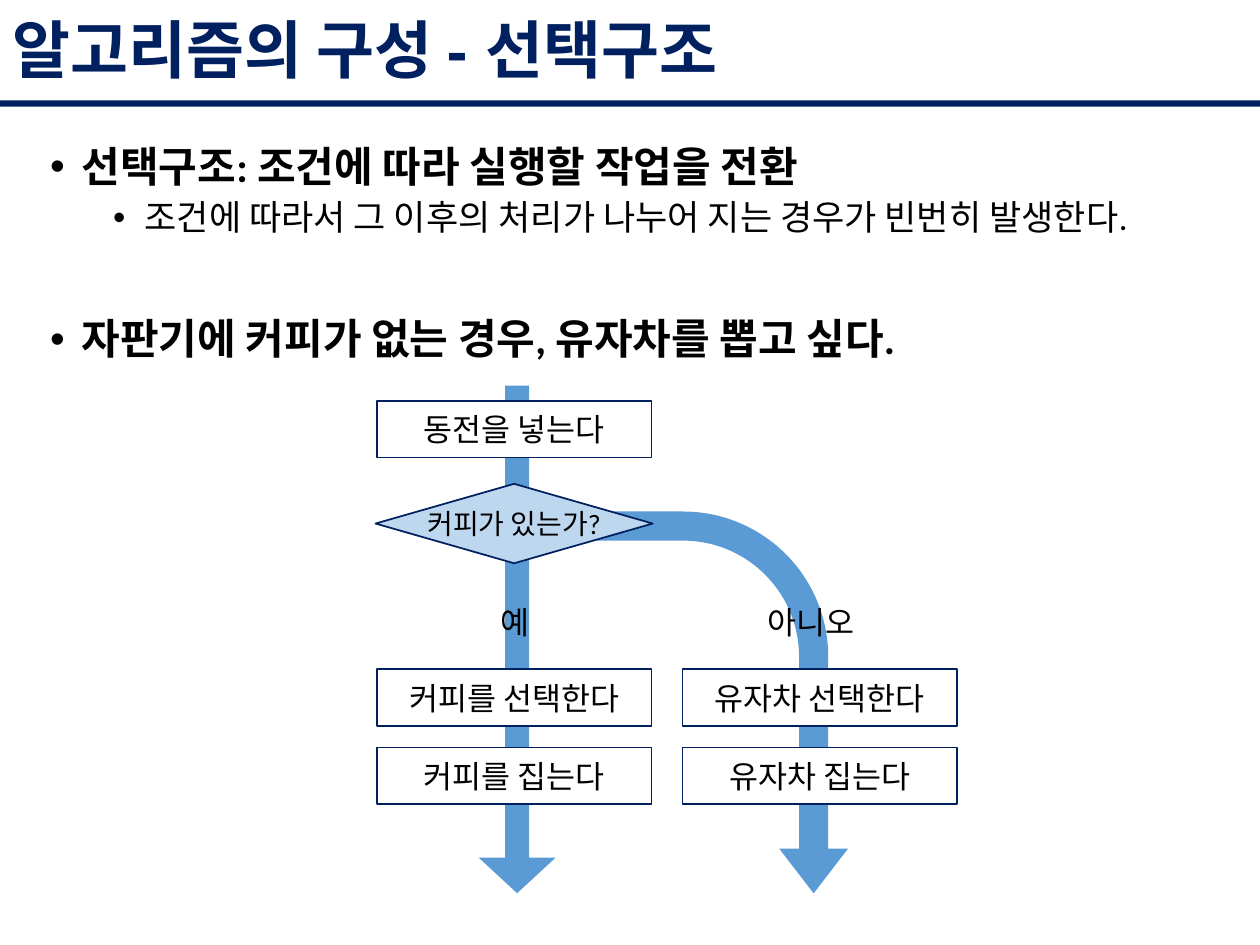
from lxml import etree
from pptx import Presentation
from pptx.dml.color import RGBColor
from pptx.enum.shapes import MSO_SHAPE
from pptx.enum.text import MSO_ANCHOR, PP_ALIGN
from pptx.oxml.ns import qn
from pptx.util import Pt

RECT, DIAMOND = MSO_SHAPE.RECTANGLE, MSO_SHAPE.FLOWCHART_DECISION
ARROW, BENT = MSO_SHAPE.RIGHT_ARROW, MSO_SHAPE.BENT_ARROW
MIDDLE, TOP = MSO_ANCHOR.MIDDLE, MSO_ANCHOR.TOP
CENTER, LEFT = PP_ALIGN.CENTER, PP_ALIGN.LEFT


class Theme:
    navy, blue, pale = "002060", "5B9BD5", "BDD7EE"
    white, black = "FFFFFF", "000000"
    head, body = "Arial", "Calibri"
    title, main, sub, flow, query = 36, 24, 20, 18, 16


# Content
TITLE = "알고리즘의 구성 - 선택구조"
# text, level, space before
POINTS = [
    ("선택구조: 조건에 따라 실행할 작업을 전환", 0, 10),
    ("조건에 따라서 그 이후의 처리가 나누어 지는 경우가 빈번히 발생한다.", 1, 5),
    ("자판기에 커피가 없는 경우, 유자차를 뽑고 싶다.", 0, 46),
]
# text, column, top
STEPS = [
    ("동전을 넣는다", 0, 229),
    ("커피를 선택한다", 0, 382.3),
    ("유자차 선택한다", 1, 382.3),
    ("커피를 집는다", 0, 427.2),
    ("유자차 집는다", 1, 427.2),
]
QUERY = "커피가 있는가?"
ANSWERS = [("예", 242.6), ("아니오", 411.8)]
# kind, unturned box, adjustments
ARROWS = [
    (ARROW, (150.5, 343.4, 290, 44), (0.31, 0.462)),
    (BENT, (280.8, 306.7, 218.2, 189.4), (0.088, 0.104, 0.135, 0.438)),
]
COLS, STEP_W, STEP_H = (215.3, 390), 157, 32.4


def color(code):
    return RGBColor.from_string(code)


def write(para, text, size, font=Theme.body, tint=Theme.black, bold=False):
    run = para.add_run()
    run.text = text
    run.font.name, run.font.size, run.font.bold = font, Pt(size), bold
    run.font.color.rgb = color(tint)


def add_shape(kind, box, fill, line=None):
    shape = slide.shapes.add_shape(kind, *map(Pt, box))
    shape.shadow.inherit = False
    shape.fill.solid()
    shape.fill.fore_color.rgb = color(fill)
    if line:
        shape.line.color.rgb = color(line)
        shape.line.width = Pt(1)
    else:
        shape.line.fill.background()
    return shape


def add_text(box, anchor=TOP):
    frame = slide.shapes.add_textbox(*map(Pt, box)).text_frame
    frame.word_wrap, frame.vertical_anchor = True, anchor
    return frame


def label(frame, text, size=Theme.flow, wrap=True):
    frame.word_wrap = wrap
    para = frame.paragraphs[0]
    para.alignment = CENTER
    write(para, text, size)


def bullet(para, level):
    props = para._p.get_or_add_pPr()
    props.set("marL", str(Pt(18 + 36 * level)))
    props.set("indent", str(-Pt(18)))
    etree.SubElement(props, qn("a:buFont")).set("typeface", Theme.head)
    etree.SubElement(props, qn("a:buChar")).set("char", "•")


deck = Presentation()
deck.slide_width, deck.slide_height = Pt(720), Pt(540)
slide = deck.slides.add_slide(deck.slide_layouts[6])

# Title and rule
add_shape(RECT, (0, 57.4, 720, 3.6), Theme.navy)
para = add_text((0, 0, 720, 61), MIDDLE).paragraphs[0]
para.line_spacing = 0.9
write(para, TITLE, Theme.title, Theme.head, Theme.navy, True)

# Bullet points
frame = add_text((21.6, 80, 672, 402))
for i, (text, level, gap) in enumerate(POINTS):
    para = frame.add_paragraph() if i else frame.paragraphs[0]
    para.alignment, para.level = LEFT, level
    para.line_spacing, para.space_before = 0.9, Pt(gap)
    bullet(para, level)
    write(para, text, Theme.sub if level else Theme.main, bold=level == 0)

# Flow arrows, turned to point down
for kind, box, adjust in ARROWS:
    arrow = add_shape(kind, box, Theme.blue)
    arrow.rotation = 90
    for i, value in enumerate(adjust):
        arrow.adjustments[i] = value

# Steps
for text, col, top in STEPS:
    step = add_shape(RECT, (COLS[col], top, STEP_W, STEP_H),
                     Theme.white, Theme.navy)
    step.text_frame.vertical_anchor = MIDDLE
    label(step.text_frame, text)

# Decision, its question on one line across the widest part
frame = add_shape(DIAMOND, (214.6, 276.5, 158.4, 45.4),
                  Theme.pale, Theme.navy).text_frame
frame.vertical_anchor = MIDDLE
frame.margin_left = frame.margin_right = Pt(0)
frame.margin_top = frame.margin_bottom = Pt(0)
label(frame, QUERY, Theme.query, wrap=False)

# Branch answers
for text, left in ANSWERS:
    label(add_text((left, 341.3, 103.7, 29)), text)

deck.save("out.pptx")
